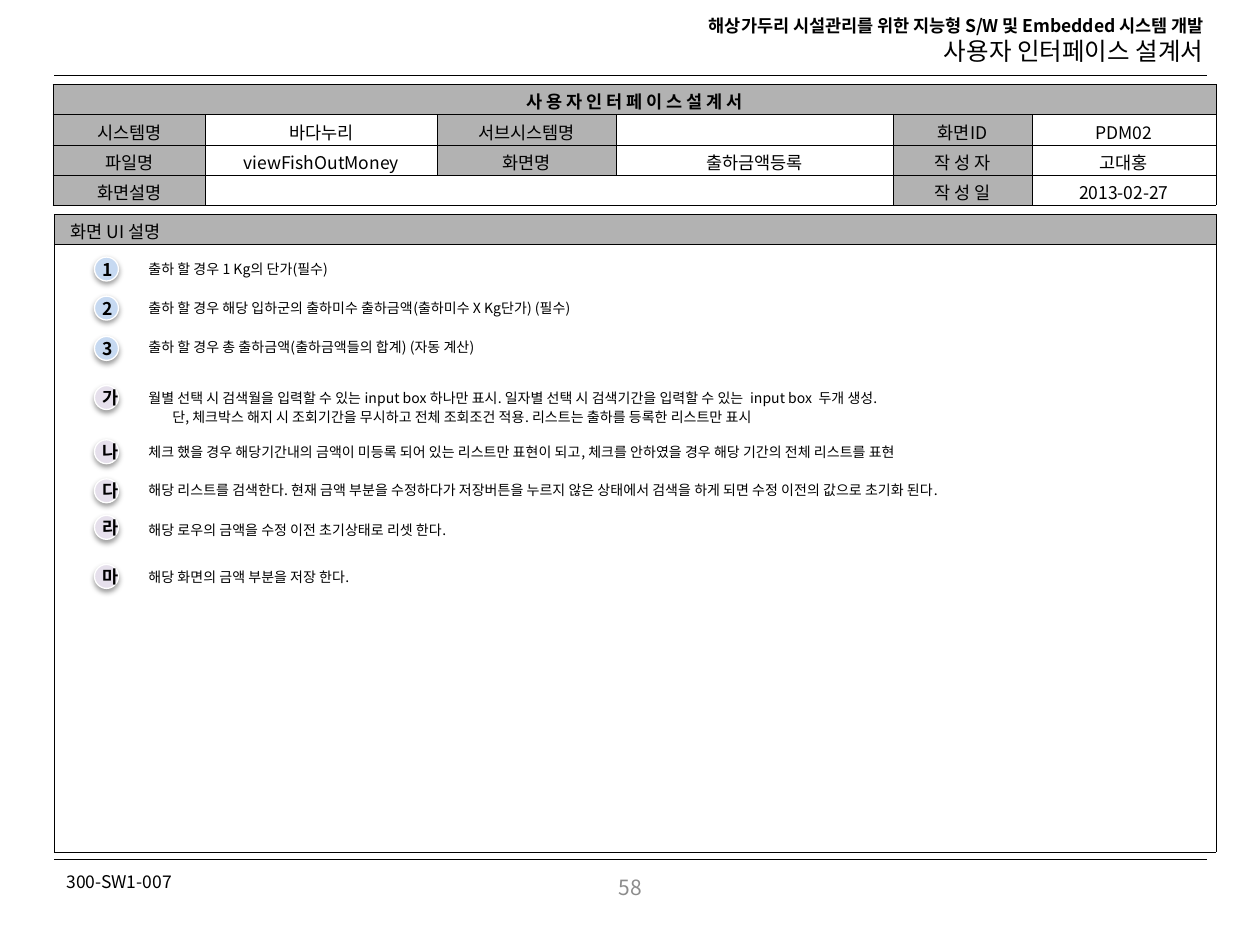
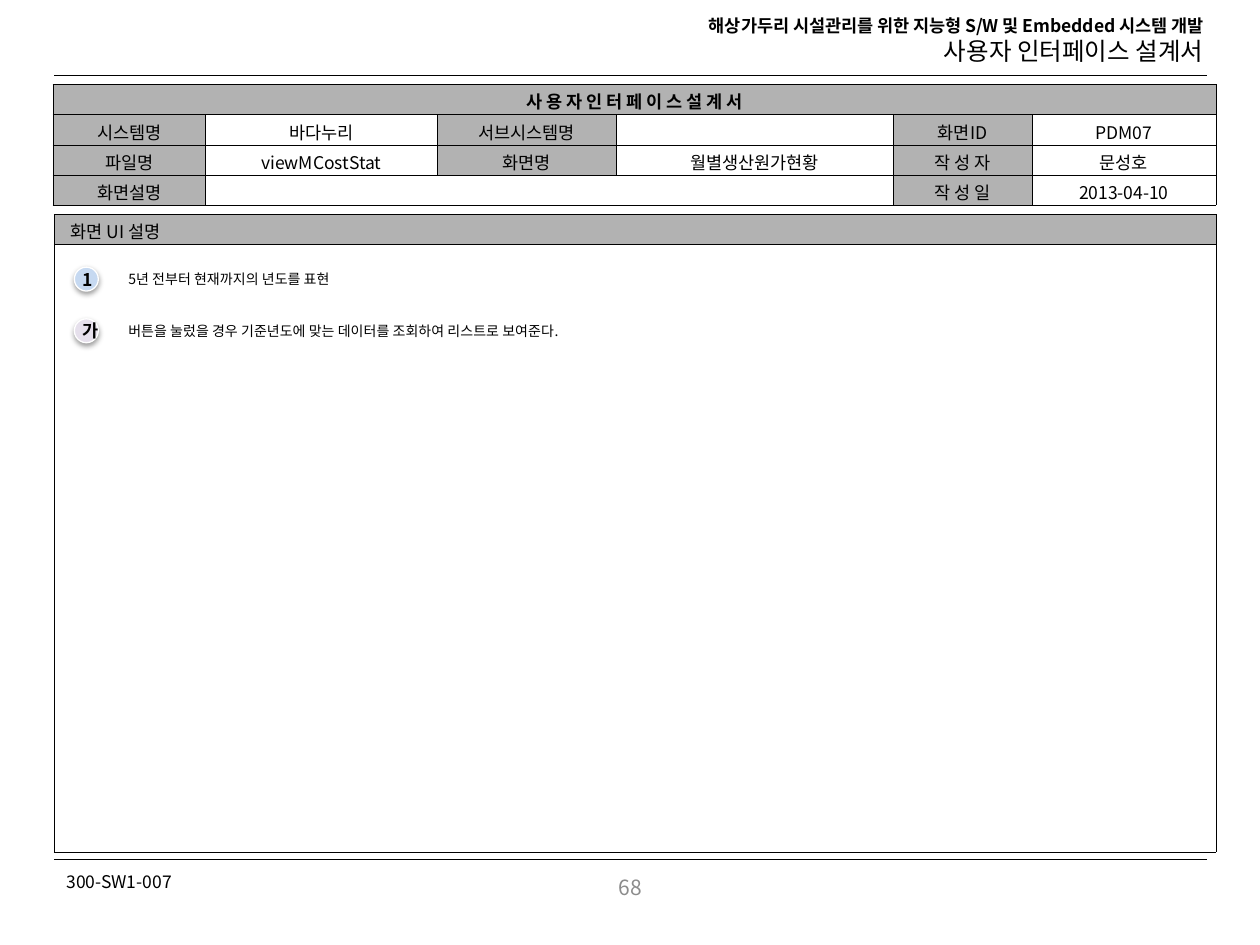
from lxml import etree
from pptx import Presentation
from pptx.dml.color import RGBColor
from pptx.enum.shapes import MSO_CONNECTOR, MSO_SHAPE
from pptx.enum.text import MSO_ANCHOR, MSO_AUTO_SIZE, PP_ALIGN
from pptx.oxml import parse_xml
from pptx.oxml.ns import nsdecls, qn
from pptx.util import Inches, Pt

FONT = "Noto Sans CJK KR"
BLACK = RGBColor(0x00, 0x00, 0x00)
WHITE = RGBColor(0xFF, 0xFF, 0xFF)
LABEL_GRAY = RGBColor(0xB2, 0xB2, 0xB2)
PAGE_GRAY = RGBColor(0x8C, 0x8C, 0x8C)
FIELD_BLUE = RGBColor(0xC6, 0xD9, 0xF1)
ACTION_LILAC = RGBColor(0xE6, 0xE0, 0xEC)

LEFT, RULE_RIGHT = 0.43, 9.58
ROW_HEIGHT = 0.24
INFO_COLUMNS = (1.21, 1.84, 1.42, 2.2, 1.1, 1.46)
BADGE_SIZE = 0.19
NOTE_OFFSET = 0.33


def add_run(paragraph, text, size, color=BLACK, bold=False):
    run = paragraph.add_run()
    run.text = text
    font = run.font
    font.name, font.size, font.bold = FONT, Pt(size), bold
    font.color.rgb = color
    etree.SubElement(run._r.get_or_add_rPr(), qn("a:ea"), typeface=FONT)


def add_text_box(shapes, box, lines, align=PP_ALIGN.LEFT, wrap=True,
                 color=BLACK, anchor=MSO_ANCHOR.TOP, grow=True):
    """Write one paragraph for each (text, size, bold) in lines."""
    frame = shapes.add_textbox(*map(Inches, box)).text_frame
    frame.word_wrap = wrap
    frame.vertical_anchor = anchor
    frame.auto_size = MSO_AUTO_SIZE.SHAPE_TO_FIT_TEXT if grow else MSO_AUTO_SIZE.NONE
    for index, (text, size, bold) in enumerate(lines):
        paragraph = frame.add_paragraph() if index else frame.paragraphs[0]
        paragraph.alignment = align
        add_run(paragraph, text, size, color, bold)
    return frame


def add_rule(slide, y):
    rule = slide.shapes.add_connector(
        MSO_CONNECTOR.STRAIGHT, Inches(LEFT), Inches(y), Inches(RULE_RIGHT), Inches(y))
    rule.line.color.rgb = BLACK
    rule.line.width = Pt(0.25)
    etree.SubElement(rule._element.spPr, qn("a:effectLst"))


def add_page_frame(slide, page):
    add_text_box(slide.shapes, (4.77, 0.07, 4.88, 0.51), [
        ("해상가두리 시설관리를 위한 지능형 S/W 및 Embedded 시스템 개발", 10, True),
        ("사용자 인터페이스 설계서", 14, False),
    ], align=PP_ALIGN.RIGHT)
    add_rule(slide, 0.6)
    add_text_box(slide.shapes, (LEFT, 6.86, 1.16, 0.27),
                 [("300-SW1-007", 10, False)], wrap=False)
    add_rule(slide, 6.82)
    add_text_box(slide.shapes, (LEFT, 6.84, 9.15, 0.4), [(page, 12, False)],
                 align=PP_ALIGN.CENTER, color=PAGE_GRAY,
                 anchor=MSO_ANCHOR.MIDDLE, grow=False)


def add_plain_table(slide, left, top, columns, rows):
    table = slide.shapes.add_table(
        len(rows), len(columns), Inches(left), Inches(top),
        Inches(sum(columns)), Inches(sum(rows))).table
    table.first_row = table.horz_banding = False
    for column, width in zip(table.columns, columns):
        column.width = Inches(width)
    for row, height in zip(table.rows, rows):
        row.height = Inches(height)
    return table


def style_cell(cell, text, fill=None, bold=False, align=PP_ALIGN.CENTER):
    cell.margin_left = cell.margin_right = Inches(0.13)
    cell.margin_top, cell.margin_bottom = Inches(0.03), 0
    cell.vertical_anchor = MSO_ANCHOR.MIDDLE
    if fill is None:
        cell.fill.background()
    else:
        cell.fill.solid()
        cell.fill.fore_color.rgb = fill
    paragraph = cell.text_frame.paragraphs[0]
    paragraph.alignment = align
    if text:
        add_run(paragraph, text, 10, bold=bold)
    else:
        paragraph._p.get_or_add_endParaRPr().set("sz", "1000")
    for index, side in enumerate(("lnL", "lnR", "lnT", "lnB")):
        cell._tc.get_or_add_tcPr().insert(index, parse_xml(
            f'<a:{side} {nsdecls("a")} w="3175"><a:solidFill>'
            f'<a:srgbClr val="{BLACK}"/></a:solidFill></a:{side}>'))


def add_info_table(slide, file_name, screen_name, screen_id, author, date):
    rows = [
        ("사 용 자 인 터 페 이 스 설 계 서", "", "", "", "", ""),
        ("시스템명", "바다누리", "서브시스템명", "", "화면ID", screen_id),
        ("파일명", file_name, "화면명", screen_name, "작 성 자", author),
        ("화면설명", "", "", "", "작 성 일", date),
    ]
    table = add_plain_table(slide, 0.42, 0.67, INFO_COLUMNS, [ROW_HEIGHT] * len(rows))
    for r, row in enumerate(rows):
        for c, text in enumerate(row):
            is_heading = r == 0
            is_label = is_heading or (c % 2 == 0 and text)
            style_cell(table.cell(r, c), text, LABEL_GRAY if is_label else None, is_heading)
    table.cell(0, 0).merge(table.cell(0, 5))
    table.cell(3, 1).merge(table.cell(3, 3))


def add_description_panel(slide):
    panel = add_plain_table(slide, LEFT, 1.7, [9.22], [ROW_HEIGHT, 4.82])
    style_cell(panel.cell(0, 0), "화면 UI 설명", LABEL_GRAY, align=PP_ALIGN.JUSTIFY)
    style_cell(panel.cell(1, 0), "", WHITE)


def add_badge(shapes, left, top, mark):
    """Numbers mark fields in blue; letters mark actions in lilac."""
    badge = shapes.add_shape(MSO_SHAPE.OVAL, Inches(left), Inches(top),
                             Inches(BADGE_SIZE), Inches(BADGE_SIZE))
    badge.fill.solid()
    badge.fill.fore_color.rgb = FIELD_BLUE if mark.isdigit() else ACTION_LILAC
    badge.line.color.rgb = WHITE
    badge.line.width = Pt(0.75)
    badge.shadow.inherit = False
    badge._element.spPr.find(qn("a:effectLst")).append(parse_xml(
        f'<a:outerShdw {nsdecls("a")} blurRad="{Pt(3.1)}" dist="{Pt(1.6)}" '
        f'dir="5400000" rotWithShape="0"><a:srgbClr val="{BLACK}">'
        '<a:alpha val="38000"/></a:srgbClr></a:outerShdw>'))
    paragraph = badge.text_frame.paragraphs[0]
    paragraph.alignment = PP_ALIGN.CENTER
    add_run(paragraph, mark, 10, bold=True)


def add_note(slide, left, mark, badge_top, note_top, width, *lines):
    """Group a badge with its note; lines after the first are indented."""
    shapes = slide.shapes.add_group_shape().shapes
    add_badge(shapes, left, badge_top, mark)
    height = 0.24 + 0.18 * (len(lines) - 1)
    frame = add_text_box(shapes, (left + NOTE_OFFSET, note_top, width, height),
                         [(line, 8, False) for line in lines], wrap=False)
    for paragraph in frame.paragraphs[1:]:
        paragraph.space_before = Pt(1.5)
        paragraph._p.get_or_add_pPr().set("marL", str(Inches(0.19)))


SCREENS = [
    {
        "page": "58",
        "info": ("viewFishOutMoney", "출하금액등록", "PDM02", "고대홍", "2013-02-27"),
        "notes_left": 0.75,
        "notes": [
            ("1", 2.04, 2.02, 1.8, "출하 할 경우 1 Kg의 단가(필수)"),
            ("2", 2.35, 2.33, 3.94,
             "출하 할 경우 해당 입하군의 출하미수 출하금액(출하미수 X Kg단가) (필수)"),
            ("3", 2.67, 2.64, 3.1,
             "출하 할 경우 총 출하금액(출하금액들의 합계) (자동 계산)"),
            ("가", 3.06, 3.04, 6.66,
             "월별 선택 시 검색월을 입력할 수 있는 input box 하나만 표시. "
             "일자별 선택 시 검색기간을 입력할 수 있는  input box  두개 생성.",
             "단, 체크박스 해지 시 조회기간을 무시하고 전체 조회조건 적용. "
             "리스트는 출하를 등록한 리스트만 표시"),
            ("나", 3.49, 3.47, 6.85,
             "체크 했을 경우 해당기간내의 금액이 미등록 되어 있는 리스트만 표현이 되고, "
             "체크를 안하였을 경우 해당 기간의 전체 리스트를 표현"),
            ("다", 3.8, 3.77, 7.18,
             "해당 리스트를 검색한다. 현재 금액 부분을 수정하다가 저장버튼을 누르지 않은 "
             "상태에서 검색을 하게 되면 수정 이전의 값으로 초기화 된다."),
            ("라", 4.09, 4.09, 2.85, "해당 로우의 금액을 수정 이전 초기상태로 리셋 한다."),
            ("마", 4.48, 4.46, 1.99, "해당 화면의 금액 부분을 저장 한다."),
        ],
    },
    {
        "page": "68",
        "info": ("viewMCostStat", "월별생산원가현황", "PDM07", "문성호", "2013-04-10"),
        "notes_left": 0.59,
        "notes": [
            ("1", 2.12, 2.1, 1.98, "5년 전부터 현재까지의 년도를 표현"),
            ("가", 2.53, 2.51, 4.03,
             "버튼을 눌렀을 경우 기준년도에 맞는 데이터를 조회하여 리스트로 보여준다."),
        ],
    },
]


def main():
    deck = Presentation()
    deck.slide_width, deck.slide_height = Inches(10), Inches(7.5)
    for screen in SCREENS:
        slide = deck.slides.add_slide(deck.slide_layouts[6])
        add_page_frame(slide, screen["page"])
        add_info_table(slide, *screen["info"])
        add_description_panel(slide)
        for note in screen["notes"]:
            add_note(slide, screen["notes_left"], *note)
    deck.save("out.pptx")


if __name__ == "__main__":
    main()
